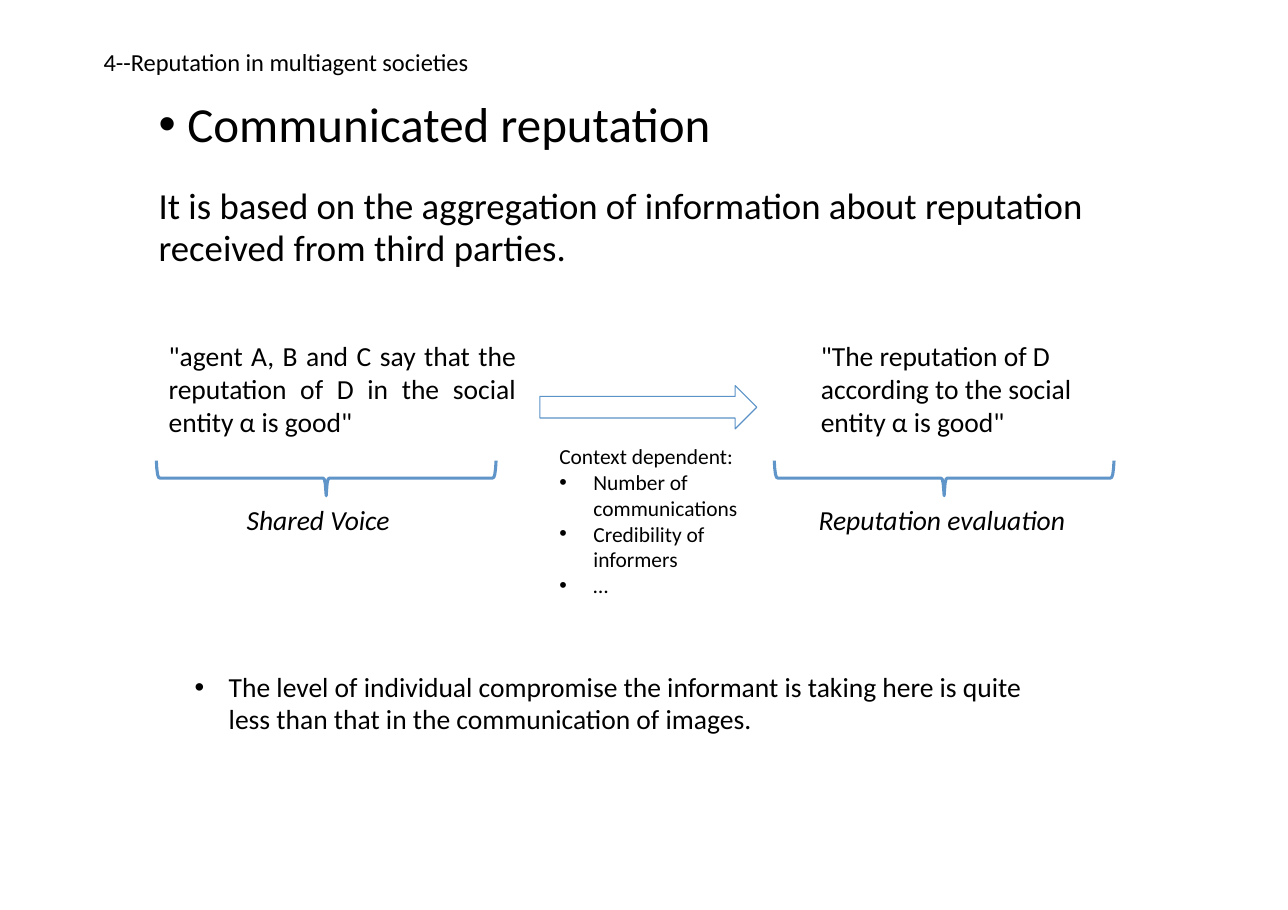
"""Builds the slide on communicated reputation in multiagent societies."""
from lxml.etree import SubElement
from pptx import Presentation
from pptx.dml.color import RGBColor
from pptx.enum.shapes import MSO_SHAPE
from pptx.enum.text import MSO_ANCHOR, MSO_AUTO_SIZE, PP_ALIGN
from pptx.oxml.ns import qn
from pptx.util import Pt


def color(hex_string):
    return RGBColor.from_string(hex_string)


def fill_text(shape, box, lines, size, spacing=None, indent=0, italic=False, align=PP_ALIGN.LEFT):
    """Place a shape and fill it; lines that start with a bullet sign become bullets."""
    shape.left, shape.top, shape.width, shape.height = [Pt(value) for value in box]
    frame = shape.text_frame
    frame.word_wrap = True
    frame.auto_size = MSO_AUTO_SIZE.NONE
    frame.vertical_anchor = MSO_ANCHOR.TOP
    frame.margin_left = frame.margin_top = frame.margin_right = frame.margin_bottom = 0
    frame.text = "\n".join(line.lstrip("•") for line in lines)
    for paragraph, line in zip(frame.paragraphs, lines):
        paragraph.alignment = align
        paragraph.line_spacing = spacing
        if line.startswith("•"):
            properties = paragraph._p.get_or_add_pPr()
            properties.set("marL", str(Pt(indent)))
            properties.set("indent", str(-Pt(indent)))
            SubElement(properties, qn("a:buFont")).set("typeface", "Arial")
            SubElement(properties, qn("a:buChar")).set("char", "•")
        for run in paragraph.runs:
            run.font.name = "Calibri"
            run.font.size = Pt(size)
            run.font.italic = italic
            run.font.color.rgb = color("000000")


presentation = Presentation()
presentation.slide_width = Pt(841.7)
presentation.slide_height = Pt(594.7)
slide = presentation.slides.add_slide(presentation.slide_layouts[5])
shapes = slide.shapes

fill_text(shapes.title, (103.7, 61.3, 600, 40), ["•Communicated reputation"], 32, indent=18.7)

text_boxes = [
    ((67.7, 31, 500, 20), ["4--Reputation in multiagent societies"], 16, {}),
    ((103.7, 120, 671, 56),
     ["It is based on the aggregation of information about reputation received from third parties."],
     24, {"spacing": Pt(28)}),
    ((110.2, 222.5, 227, 66),
     ['"agent A, B and C say that the reputation of D in the social entity α is good"'],
     18, {"spacing": 0.99, "align": PP_ALIGN.JUSTIFY}),
    ((536.4, 222.5, 195, 66),
     ['"The reputation of D according to the social entity α is good"'], 18, {"spacing": 0.99}),
    ((161.2, 329, 152, 23), ["Shared Voice"], 18, {"italic": True}),
    ((535, 329, 205, 23), ["Reputation evaluation"], 18, {"italic": True}),
    ((365.5, 289.5, 141, 102),
     ["Context dependent:", "•Number of communications", "•Credibility of informers", "•…"],
     14, {"spacing": Pt(16.9), "indent": 22.3}),
    ((127.2, 438.5, 545, 42),
     ["•The level of individual compromise the informant is taking here is quite "
      "less than that in the communication of images."],
     18, {"spacing": Pt(21), "indent": 22.3}),
]
for box, lines, size, options in text_boxes:
    fill_text(shapes.add_textbox(0, 0, 0, 0), box, lines, size, **options)

brace_top = 301
half_brace = [(111, 0), (110.7, 5), (110.2, 9), (109.5, 11), (108.5, 11.5),
              (1.9, 11.5), (1.2, 12.3), (0.6, 15), (0.3, 19)]
brace_profile = half_brace + [(0, 23)] + [(-x, y) for x, y in reversed(half_brace)]
outlines = []
for center in (213.2, 617):
    points = [(Pt(center + x), Pt(brace_top + y)) for x, y in brace_profile]
    builder = shapes.build_freeform(*points[0])
    builder.add_line_segments(points[1:], close=False)
    outlines.append((builder.convert_to_shape(), "6095C9", 2))

arrow = shapes.add_shape(MSO_SHAPE.RIGHT_ARROW, Pt(352.8), Pt(252), Pt(141.8), Pt(28.3))
outlines.append((arrow, "5B92C7", 0.75))

for shape, line_color, line_width in outlines:
    shape.shadow.inherit = False
    shape.fill.background()
    shape.line.color.rgb = color(line_color)
    shape.line.width = Pt(line_width)

presentation.save("out.pptx")
